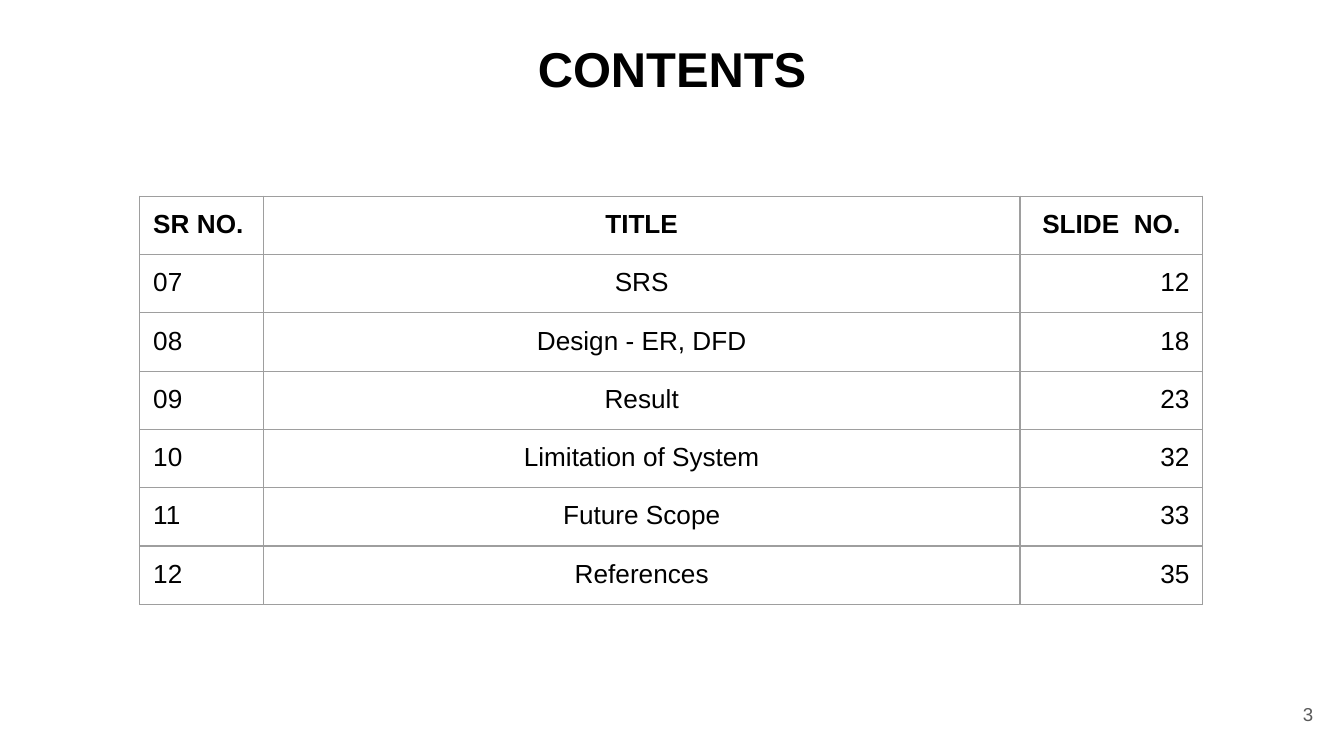
"""Build a contents slide with a ruled three-column table."""
from lxml import etree
from pptx import Presentation
from pptx.dml.color import RGBColor
from pptx.enum.text import MSO_ANCHOR, PP_ALIGN
from pptx.oxml.ns import qn
from pptx.util import Inches, Pt

LEFT, CENTER, RIGHT = PP_ALIGN.LEFT, PP_ALIGN.CENTER, PP_ALIGN.RIGHT
TOP, MIDDLE = MSO_ANCHOR.TOP, MSO_ANCHOR.MIDDLE

FONT = "Arial"
COLORS = {"background": "FFFFFF", "text": "000000", "number": "595959", "border": "9E9E9E"}
MARGIN = Inches(0.1)

TITLE = "CONTENTS"
SLIDE_NUMBER = "3"
HEADER = ("SR NO.", "TITLE", "SLIDE  NO.")
ENTRIES = [
    ("07", "SRS", "12"),
    ("08", "Design - ER, DFD", "18"),
    ("09", "Result", "23"),
    ("10", "Limitation of System", "32"),
    ("11", "Future Scope", "33"),
    ("12", "References", "35"),
]
COLUMN_WIDTHS = (0.92, 5.63, 1.36)
ROW_HEIGHT = 0.42
FRAME_SIDE = Inches(3.28)
HEADER_ALIGNMENTS = (LEFT, CENTER, CENTER)
ENTRY_ALIGNMENTS = (LEFT, CENTER, RIGHT)


def write_text(frame, text, size, alignment, color="text", bold=False):
    paragraph = frame.paragraphs[0]
    paragraph.alignment = alignment
    run = paragraph.add_run()
    run.text = text
    run.font.name = FONT
    run.font.size = Pt(size)
    run.font.bold = bold
    run.font.color.rgb = RGBColor.from_string(COLORS[color])


def set_margins(target):
    target.margin_left = target.margin_right = MARGIN
    target.margin_top = target.margin_bottom = MARGIN


def add_text_box(slide, box, anchor, *text_options):
    frame = slide.shapes.add_textbox(*map(Inches, box)).text_frame
    frame.word_wrap = True
    frame.vertical_anchor = anchor
    set_margins(frame)
    write_text(frame, *text_options)


def set_borders(cell):
    properties = cell._tc.get_or_add_tcPr()
    for index, side in enumerate(("lnL", "lnR", "lnT", "lnB")):
        line = etree.Element(qn(f"a:{side}"), w=str(Pt(0.75)))
        fill = etree.SubElement(line, qn("a:solidFill"))
        etree.SubElement(fill, qn("a:srgbClr"), val=COLORS["border"])
        properties.insert(index, line)


def add_contents_table(slide, left, top):
    rows = [HEADER, *ENTRIES]
    graphic_frame = slide.shapes.add_table(
        len(rows), len(HEADER), Inches(left), Inches(top), FRAME_SIDE, FRAME_SIDE
    )
    table = graphic_frame.table
    table.first_row = table.horz_banding = False
    for column, width in zip(table.columns, COLUMN_WIDTHS):
        column.width = Inches(width)
    for row_index, texts in enumerate(rows):
        is_header = row_index == 0
        alignments = HEADER_ALIGNMENTS if is_header else ENTRY_ALIGNMENTS
        table.rows[row_index].height = Inches(ROW_HEIGHT)
        for column_index, (text, alignment) in enumerate(zip(texts, alignments)):
            cell = table.cell(row_index, column_index)
            set_margins(cell)
            cell.fill.background()
            set_borders(cell)
            write_text(cell.text_frame, text, 14, alignment, bold=is_header)
    graphic_frame.width = graphic_frame.height = FRAME_SIDE


def main():
    presentation = Presentation()
    presentation.slide_width = Inches(10)
    presentation.slide_height = presentation.slide_width * 9 // 16
    slide = presentation.slides.add_slide(presentation.slide_layouts[6])
    slide.background.fill.solid()
    slide.background.fill.fore_color.rgb = RGBColor.from_string(COLORS["background"])
    add_text_box(slide, (0.34, 0.19, 9.32, 0.63), TOP, TITLE, 26.2, CENTER, "text", True)
    add_contents_table(slide, 1.04, 1.46)
    add_text_box(slide, (9.27, 5.1, 0.6, 0.43), MIDDLE, SLIDE_NUMBER, 10, RIGHT, "number")
    presentation.save("out.pptx")


if __name__ == "__main__":
    main()
